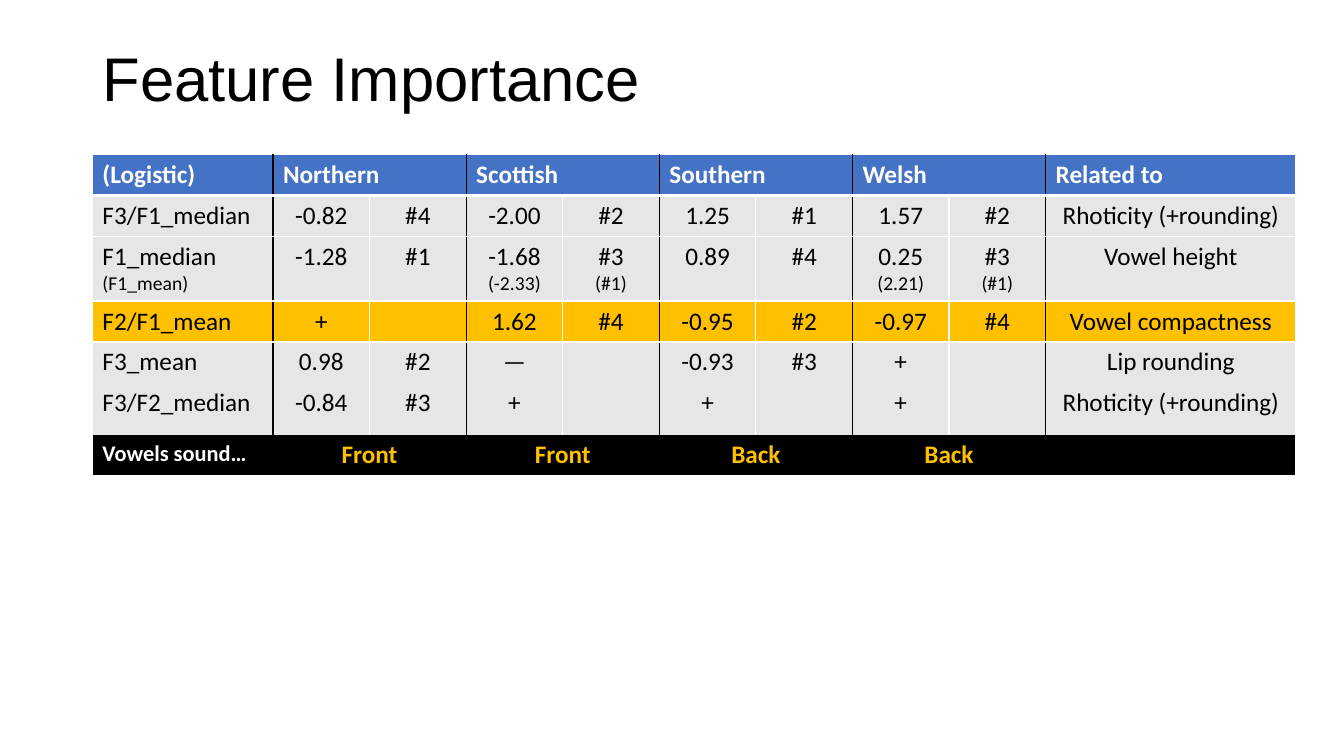
from dataclasses import dataclass

from lxml.etree import SubElement
from pptx import Presentation
from pptx.dml.color import RGBColor
from pptx.enum.text import MSO_ANCHOR as Anchor, PP_ALIGN as Align
from pptx.oxml.ns import qn
from pptx.util import Inches, Pt


@dataclass(frozen=True)
class Theme:
    title_font: str = "Arial"
    table_font: str = "Calibri"
    title_size: int = 44
    cell_size: int = 18
    label_size: int = 16
    note_size: int = 14
    black: str = "000000"
    white: str = "FFFFFF"
    blue: str = "4472C4"
    grey: str = "E7E6E6"
    amber: str = "FFC000"


THEME = Theme()
GRID_COLUMNS, GRID_ROWS = 160, 90
REGION_COLUMNS = range(1, 9, 2)

COLUMN_WIDTHS = [21.5] + [11.5] * 8 + [29.8]
ROW_HEIGHTS = [4.87, 4.87, 7.6, 4.87, 4.87, 6.2, 4.87]

HEADER = ["(Logistic)", "Northern", "Scottish", "Southern", "Welsh", "Related to"]
# "\n" starts a paragraph, "\v" a line within one
FEATURES = [
    ["F3/F1_median", "-0.82", "#4", "-2.00", "#2", "1.25", "#1", "1.57", "#2",
     "Rhoticity (+rounding)"],
    ["F1_median\n(F1_mean)", "-1.28", "#1", "-1.68\v(-2.33)", "#3\v(#1)", "0.89", "#4",
     "0.25\v(2.21)", "#3\n(#1)", "Vowel height"],
    ["F2/F1_mean", "+", "", "1.62", "#4", "-0.95", "#2", "-0.97", "#4", "Vowel compactness"],
    ["F3_mean", "0.98", "#2", "—", "", "-0.93", "#3", "+", "", "Lip rounding"],
    ["F3/F2_median", "-0.84", "#3", "+", "", "+", "", "+", "", "Rhoticity (+rounding)"],
]
FOOTER = ["Vowels sound…", "Front", "Front", "Back", "Back", ""]
HIGHLIGHT_ROW = 3
LAST_ROW = len(FEATURES) + 1
UNRULED_BELOW = (4, 5)


def assign(target, values):
    for name, value in values.items():
        setattr(target, name, value)


def spread(entries):
    """Place each region's entry over its value and rank columns."""
    first, *regions, last = entries
    return [first, *(text for region in regions for text in (region, "")), last]


class SlideBuilder:
    def __init__(self, presentation, theme):
        self.theme = theme
        self.column = presentation.slide_width / GRID_COLUMNS
        self.row = presentation.slide_height / GRID_ROWS
        self.slide = presentation.slides.add_slide(presentation.slide_layouts[5])

    def box(self, left, top, width, height):
        return (round(left * self.column), round(top * self.row),
                round(width * self.column), round(height * self.row))

    def style_run(self, run, font, size, color, bold=False):
        assign(run.font, {"name": font, "size": Pt(size), "bold": bold})
        run.font.color.rgb = RGBColor.from_string(color)

    def title(self, text, *place):
        title = self.slide.shapes.title
        assign(title, dict(zip(("left", "top", "width", "height"), self.box(*place))))
        assign(title.text_frame, {"vertical_anchor": Anchor.MIDDLE, "word_wrap": True})
        paragraph = title.text_frame.paragraphs[0]
        assign(paragraph, {"alignment": Align.LEFT, "line_spacing": 0.9})
        run = paragraph.add_run()
        run.text = text
        self.style_run(run, self.theme.title_font, self.theme.title_size, self.theme.black)

    def table(self, left, top, widths, heights):
        place = self.box(left, top, sum(widths), sum(heights))
        table = self.slide.shapes.add_table(len(heights), len(widths), *place).table
        assign(table, {"first_row": False, "horz_banding": False})
        for column, width in zip(table.columns, widths):
            column.width = round(width * self.column)
        for row, height in zip(table.rows, heights):
            row.height = round(height * self.row)
        return table

    def cell_text(self, cell, text, color, size, bold, alignment):
        """Write the text, with every line after the first as a small note."""
        frame, line_size = cell.text_frame, size
        for index, part in enumerate(text.split("\n")):
            paragraph = frame.add_paragraph() if index else frame.paragraphs[0]
            paragraph.alignment = alignment
            for line_index, line in enumerate(part.split("\v")):
                if line_index:
                    paragraph.add_line_break()
                if line:
                    run = paragraph.add_run()
                    run.text = line
                    self.style_run(run, self.theme.table_font, line_size, color, bold)
                line_size = self.theme.note_size

    def cell_look(self, cell, fill, borders):
        """Set borders, a (color, points) pair or None per side, then the fill."""
        properties = cell._tc.get_or_add_tcPr()
        for side in "LRTB":
            border = borders[side]
            width = Pt(border[1]) if border else 0
            line = SubElement(properties, qn(f"a:ln{side}"), w=str(width))
            if border:
                solid = SubElement(line, qn("a:solidFill"))
                SubElement(solid, qn("a:srgbClr"), val=border[0])
            else:
                SubElement(line, qn("a:noFill"))
        cell.fill.solid()
        cell.fill.fore_color.rgb = RGBColor.from_string(fill)


def cell_borders(row, column):
    """Black lines part the regions; white lines do the rest."""
    def below(index):
        if index in UNRULED_BELOW:
            return None
        return THEME.white, 3 if index == 0 else 1

    joined = row in (0, LAST_ROW) and 0 < column < 9
    black, white = (THEME.black, 1), (THEME.white, 1)
    return {
        "L": black if joined or column % 2 else white,
        "R": black if joined or column % 2 == 0 else white,
        "T": below(row - 1) if row else white,
        "B": below(row),
    }


def row_style(row):
    """Return fill, text color and boldness."""
    if row == 0:
        return THEME.blue, THEME.white, True
    if row == LAST_ROW:
        return THEME.black, THEME.amber, True
    return THEME.amber if row == HIGHLIGHT_ROW else THEME.grey, THEME.black, False


def main():
    presentation = Presentation()
    assign(presentation, {"slide_width": Inches(13.33), "slide_height": Inches(7.5)})
    builder = SlideBuilder(presentation, THEME)
    builder.title("Feature Importance", 11, 1, 138, 17.4)

    table = builder.table(11, 18.4, COLUMN_WIDTHS, ROW_HEIGHTS)
    for row in (0, LAST_ROW):
        for column in REGION_COLUMNS:
            table.cell(row, column).merge(table.cell(row, column + 1))

    for row, texts in enumerate([spread(HEADER), *FEATURES, spread(FOOTER)]):
        fill, color, bold = row_style(row)
        for column, text in enumerate(texts):
            cell = table.cell(row, column)
            is_footer_label = row == LAST_ROW and column == 0
            builder.cell_text(
                cell, text,
                THEME.white if is_footer_label else color,
                THEME.label_size if is_footer_label else THEME.cell_size,
                bold,
                Align.LEFT if row == 0 or column == 0 else Align.CENTER)
            builder.cell_look(cell, fill, cell_borders(row, column))

    presentation.save("out.pptx")


if __name__ == "__main__":
    main()
